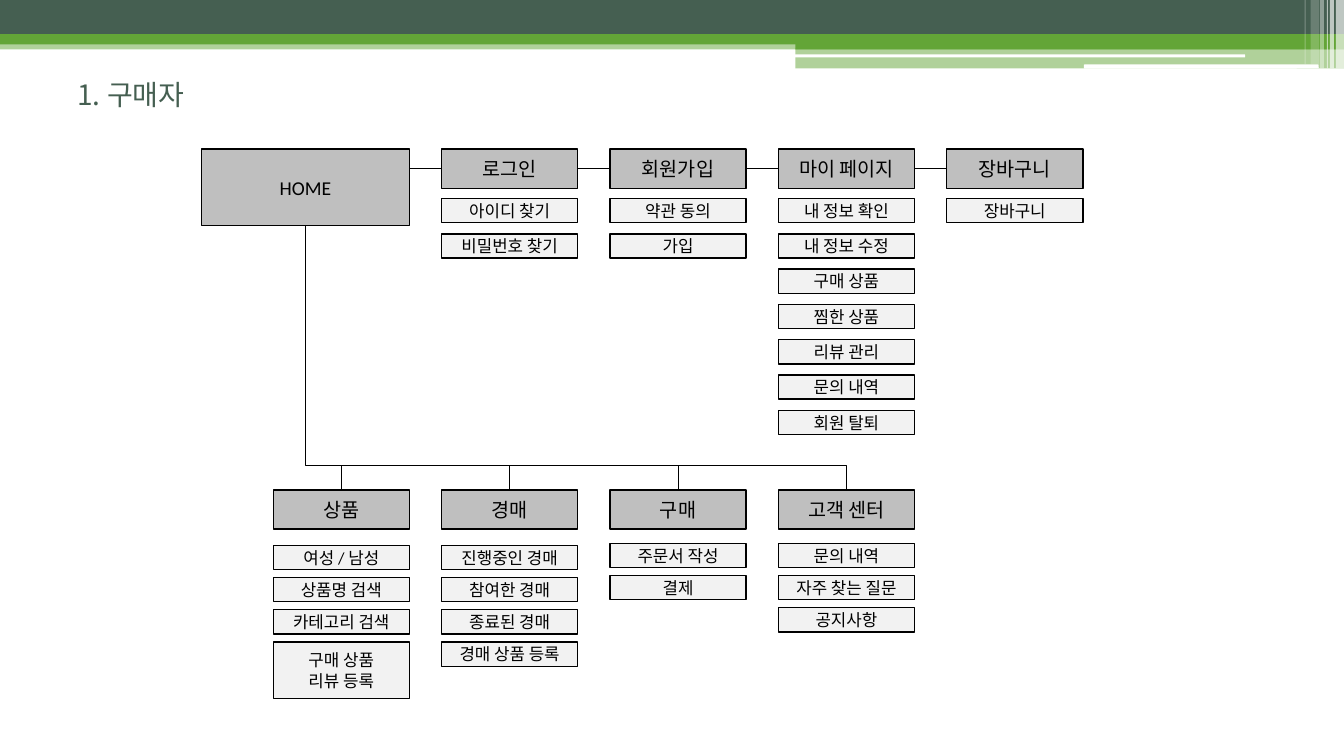
from pptx import Presentation
from pptx.dml.color import RGBColor
from pptx.enum.shapes import MSO_CONNECTOR, MSO_SHAPE
from pptx.enum.text import MSO_ANCHOR, PP_ALIGN
from pptx.oxml.ns import qn
from pptx.util import Inches, Pt
from lxml.etree import SubElement

BLACK = RGBColor(0x00, 0x00, 0x00)
WHITE = RGBColor(0xFF, 0xFF, 0xFF)
DARK = RGBColor(0x45, 0x5F, 0x51)
GREEN = RGBColor(0x63, 0xA5, 0x37)
HEAD = RGBColor(0xBF, 0xBF, 0xBF)
ITEM = RGBColor(0xF2, 0xF2, 0xF2)
LATIN, KOREAN = "Calibri", "Noto Sans CJK KR"
RECT, ROUND = MSO_SHAPE.RECTANGLE, MSO_SHAPE.ROUNDED_RECTANGLE

TITLE = "1. 구매자"
BANDS = [
    (RECT, 0, 0.4, 13.33, 0.09, GREEN, 50),
    (RECT, 0, 0, 13.33, 0.34, DARK, 100),
    (RECT, 0, 0.34, 13.33, 0.1, GREEN, 100),
    (RECT, 7.89, 0.39, 5.44, 0.1, GREEN, 100),
    (RECT, 7.89, 0.48, 5.44, 0.2, GREEN, 50),
    (ROUND, 7.88, 0.54, 4.47, 0.03, WHITE, 100),
    (ROUND, 10.75, 0.64, 2.33, 0.04, WHITE, 100),
    (RECT, 13.25, 0, 0.08, 0.68, WHITE, 65),
    (RECT, 13.19, 0, 0.04, 0.68, WHITE, 65),
    (RECT, 13.16, 0, 0.01, 0.68, WHITE, 60),
    (RECT, 13.09, 0, 0.04, 0.68, WHITE, 40),
    (RECT, 13, 0, 0.08, 0.64, WHITE, 20),
    (RECT, 12.94, 0, 0.01, 0.64, WHITE, 30),
]
TOP_MENUS = [
    ("로그인", ["아이디 찾기", "비밀번호 찾기"]),
    ("회원가입", ["약관 동의", "가입"]),
    ("마이 페이지", ["내 정보 확인", "내 정보 수정", "구매 상품", "찜한 상품",
                "리뷰 관리", "문의 내역", "회원 탈퇴"]),
    ("장바구니", ["장바구니"]),
]
BOTTOM_MENUS = [
    ("상품", 5.41, ["여성 / 남성", "상품명 검색", "카테고리 검색", "구매 상품\n리뷰 등록"]),
    ("경매", 5.41, ["진행중인 경매", "참여한 경매", "종료된 경매", "경매 상품 등록"]),
    ("구매", 5.39, ["주문서 작성", "결제"]),
    ("고객 센터", 5.39, ["문의 내역", "자주 찾는 질문", "공지사항"]),
]

COL_X, COL_STEP, BOX_W, HEAD_H, ITEM_H, TALL_H = 2.71, 1.67, 1.35, 0.39, 0.24, 0.56
TOP_Y, TOP_ITEM_Y, TOP_STEP = 1.48, 1.97, 0.35
BOTTOM_Y, BOTTOM_STEP, BUS_Y = 4.86, 0.32, 4.62
HOME_X, HOME_W, HOME_H = 2, 2.06, 0.76

prs = Presentation()
prs.slide_width, prs.slide_height = Inches(13.33), Inches(7.5)
s = prs.slides.add_slide(prs.slide_layouts[6])


def add_block(kind, x, y, w, h, color, alpha=100):
    sp = s.shapes.add_shape(kind, Inches(x), Inches(y), Inches(w), Inches(h))
    sp.shadow.inherit = False
    sp.fill.solid()
    sp.fill.fore_color.rgb = color
    sp.line.fill.background()
    if alpha < 100:
        clr = sp._element.spPr.find(qn("a:solidFill"))[0]
        SubElement(clr, qn("a:alpha")).set("val", str(alpha * 1000))
    return sp


def write(sp, text, size, latin, color, align):
    tf = sp.text_frame
    for name, value in {"word_wrap": True, "vertical_anchor": MSO_ANCHOR.MIDDLE,
                        "margin_top": 0, "margin_bottom": 0}.items():
        setattr(tf, name, value)
    for i, line in enumerate(text.split("\n")):
        p = tf.add_paragraph() if i else tf.paragraphs[0]
        p.alignment = align
        r = p.add_run()
        r.text = line
        for name, value in {"size": Pt(size), "name": latin}.items():
            setattr(r.font, name, value)
        r.font.color.rgb = color
        SubElement(r._r.get_or_add_rPr(), qn("a:ea")).set("typeface", KOREAN)


def add_box(text, x, y, w, h, color, size):
    sp = add_block(RECT, x, y, w, h, color)
    sp.line.color.rgb = BLACK
    sp.line.width = Pt(1)
    write(sp, text, size, LATIN, BLACK, PP_ALIGN.CENTER)
    return sp


def add_menu(col, y, head, item_y, step, items):
    x = COL_X + col * COL_STEP
    sp = add_box(head, x, y, BOX_W, HEAD_H, HEAD, 14)
    for i, text in enumerate(items):
        h = TALL_H if "\n" in text else ITEM_H
        add_box(text, x, item_y + i * step, BOX_W, h, ITEM, 12)
    return sp


def add_link(x1, y1, x2, y2, kind=MSO_CONNECTOR.STRAIGHT):
    c = s.shapes.add_connector(kind, Inches(x1), Inches(y1), Inches(x2), Inches(y2))
    c.line.color.rgb = BLACK
    c.line.width = Pt(0.5)
    SubElement(c._element.spPr, qn("a:effectLst"))
    return c


for band in BANDS:
    add_block(*band)

title = s.shapes.add_textbox(Inches(0.67), Inches(0.72), Inches(12), Inches(0.44))
write(title, TITLE, 20, KOREAN, DARK, PP_ALIGN.LEFT)

home = add_box("HOME", HOME_X, TOP_Y, HOME_W, HOME_H, HEAD, 14)
mid_y = TOP_Y + HEAD_H / 2
last = None
for col, (head, items) in enumerate(TOP_MENUS, 1):
    sp = add_menu(col, TOP_Y, head, TOP_ITEM_Y, TOP_STEP, items)
    x = COL_X + col * COL_STEP
    c = add_link(x - COL_STEP + BOX_W, mid_y, x, mid_y)
    if last is not None:
        c.begin_connect(last, 3)
    c.end_connect(sp, 1)
    last = sp

for col, (head, item_y, items) in enumerate(BOTTOM_MENUS):
    sp = add_menu(col, BOTTOM_Y, head, item_y, BOTTOM_STEP, items)
    if col < len(BOTTOM_MENUS) - 1:
        x = COL_X + col * COL_STEP + BOX_W / 2
        add_link(x, BUS_Y, x, BOTTOM_Y).end_connect(sp, 0)

x1, y1 = HOME_X + HOME_W / 2, TOP_Y + HOME_H
x2, y2 = COL_X + 3 * COL_STEP + BOX_W / 2, BOTTOM_Y
trunk = add_link(x1, y1, x2, y2, MSO_CONNECTOR.ELBOW)
trunk.begin_connect(home, 2)
trunk.end_connect(sp, 0)
w, h = y2 - y1, x2 - x1
for name, value in {"left": (x1 + x2 - w) / 2, "top": (y1 + y2 - h) / 2,
                    "width": w, "height": h}.items():
    setattr(trunk, name, Inches(value))
xfrm = trunk._element.spPr.find(qn("a:xfrm"))
xfrm.set("rot", str(270 * 60000))
xfrm.set("flipH", "1")
guide = SubElement(trunk._element.spPr.find(qn("a:prstGeom")).find(qn("a:avLst")), qn("a:gd"))
guide.set("name", "adj1")
guide.set("fmla", f"val {round((BUS_Y - y1) / w * 100000)}")

prs.save("out.pptx")
